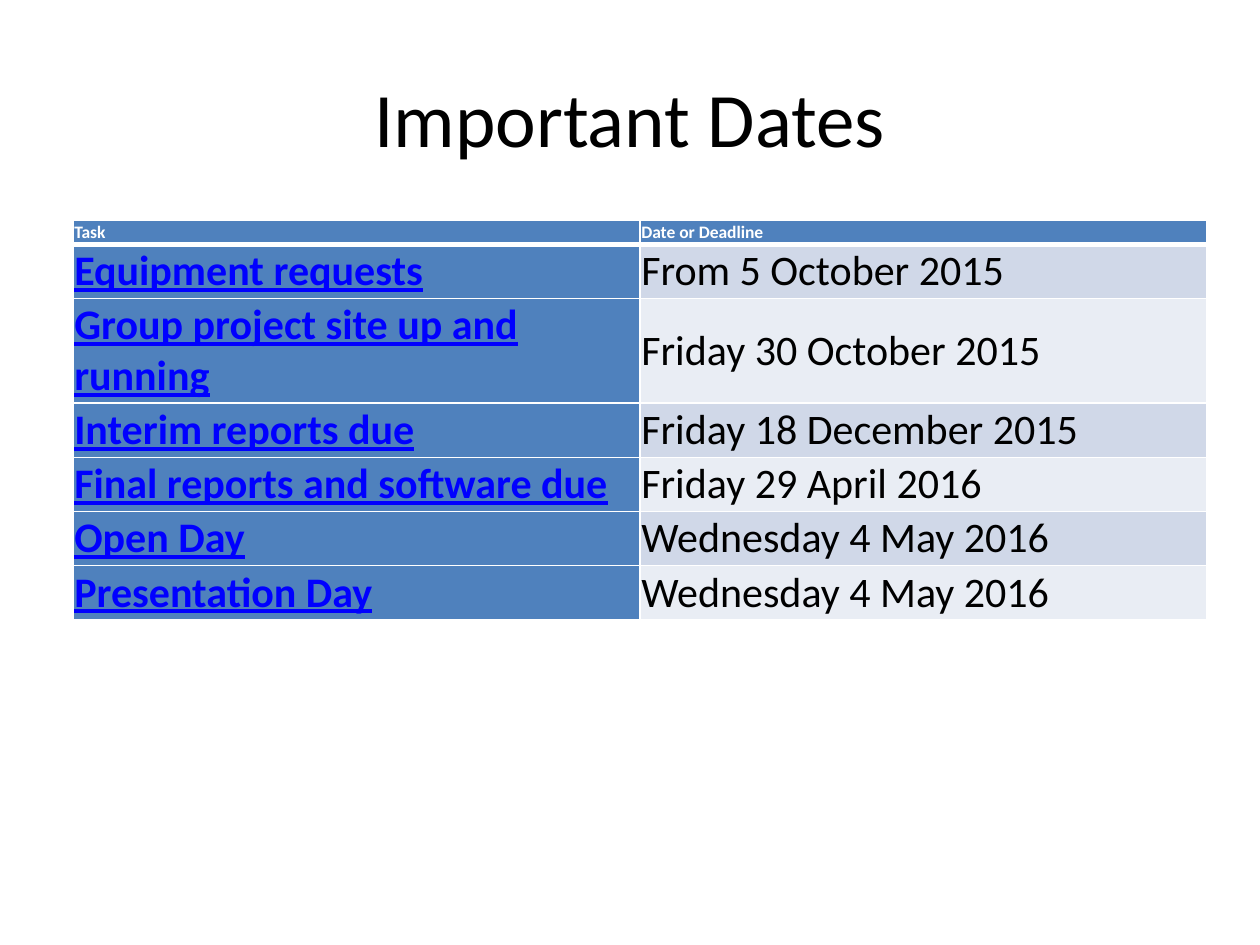
from dataclasses import dataclass

from lxml import etree
from pptx import Presentation
from pptx.dml.color import RGBColor
from pptx.enum.text import MSO_ANCHOR, PP_ALIGN
from pptx.oxml.ns import qn
from pptx.util import Inches, Pt

MIDDLE = MSO_ANCHOR.MIDDLE
CENTER, LEFT, JUSTIFY = PP_ALIGN.CENTER, PP_ALIGN.LEFT, PP_ALIGN.JUSTIFY

WHITE = RGBColor(0xFF, 0xFF, 0xFF)
BLACK = RGBColor(0, 0, 0)
BLUE = RGBColor(0x4F, 0x81, 0xBD)
LINK = RGBColor(0, 0, 0xFF)
BANDS = RGBColor(0xD0, 0xD8, 0xE8), RGBColor(0xE9, 0xED, 0xF4)
FONT = "Calibri"


@dataclass
class Style:
    size: float
    color: RGBColor
    bold: bool = False
    line: bool = False
    align: PP_ALIGN = LEFT


@dataclass
class Event:
    task: str
    date: str
    height: float = 0.43


TITLE = Style(44, BLACK, align=CENTER)
HEAD = Style(10, WHITE, bold=True, align=JUSTIFY)
TASK = Style(24, LINK, bold=True, line=True)
DATE = Style(24, BLACK)

EVENTS = [
    Event("Equipment requests", "From 5 October 2015"),
    Event("Group project site up and running", "Friday 30 October 2015", 0.83),
    Event("Interim reports due", "Friday 18 December 2015"),
    Event("Final reports and software due", "Friday 29 April 2016"),
    Event("Open Day", "Wednesday 4 May 2016"),
    Event("Presentation Day", "Wednesday 4 May 2016"),
]


def write(frame, text: str, style: Style) -> None:
    para = frame.paragraphs[0]
    para.alignment = style.align
    run = para.add_run()
    run.text = text
    font = run.font
    font.name, font.size = FONT, Pt(style.size)
    font.bold, font.underline = style.bold, style.line
    font.color.rgb = style.color


def edge(cell, side: str, width: float) -> None:
    props = cell._tc.get_or_add_tcPr()
    line = etree.SubElement(props, qn(f"a:{side}"), w=str(Pt(width)))
    fill = etree.SubElement(line, qn("a:solidFill"))
    etree.SubElement(fill, qn("a:srgbClr"), val=str(WHITE))


def fill_cell(cell, text: str, style: Style, color: RGBColor,
              top: float = 1, base: float = 1) -> None:
    cell.margin_left = cell.margin_right = Inches(0.01)
    cell.margin_top = cell.margin_bottom = Inches(0.01)
    cell.vertical_anchor = MIDDLE
    # Borders come before the fill in the cell properties
    for side, width in (("lnL", 1), ("lnR", 1), ("lnT", top), ("lnB", base)):
        edge(cell, side, width)
    cell.fill.solid()
    cell.fill.fore_color.rgb = color
    write(cell.text_frame, text, style)


def main() -> None:
    deck = Presentation()
    deck.slide_width, deck.slide_height = Inches(10), Inches(7.5)
    slide = deck.slides.add_slide(deck.slide_layouts[6])

    # Title
    box = slide.shapes.add_textbox(Inches(0.5), Inches(0.3), Inches(9), Inches(1.25))
    frame = box.text_frame
    frame.word_wrap = True
    frame.vertical_anchor = MIDDLE
    write(frame, "Important Dates", TITLE)

    # Table of dates
    table = slide.shapes.add_table(
        len(EVENTS) + 1, 2, Inches(0.58), Inches(1.75), Inches(9), Inches(3.11)
    ).table
    table.first_col = True

    # Header row
    table.rows[0].height = Inches(0.19)
    for col, text in enumerate(("Task", "Date or Deadline")):
        fill_cell(table.cell(0, col), text, HEAD, BLUE, base=3)

    # One row for each event
    for row, event in enumerate(EVENTS, 1):
        table.rows[row].height = Inches(event.height)
        top = 3 if row == 1 else 1
        band = BANDS[(row - 1) % 2]
        fill_cell(table.cell(row, 0), event.task, TASK, BLUE, top)
        fill_cell(table.cell(row, 1), event.date, DATE, band, top)

    deck.save("out.pptx")


if __name__ == "__main__":
    main()
